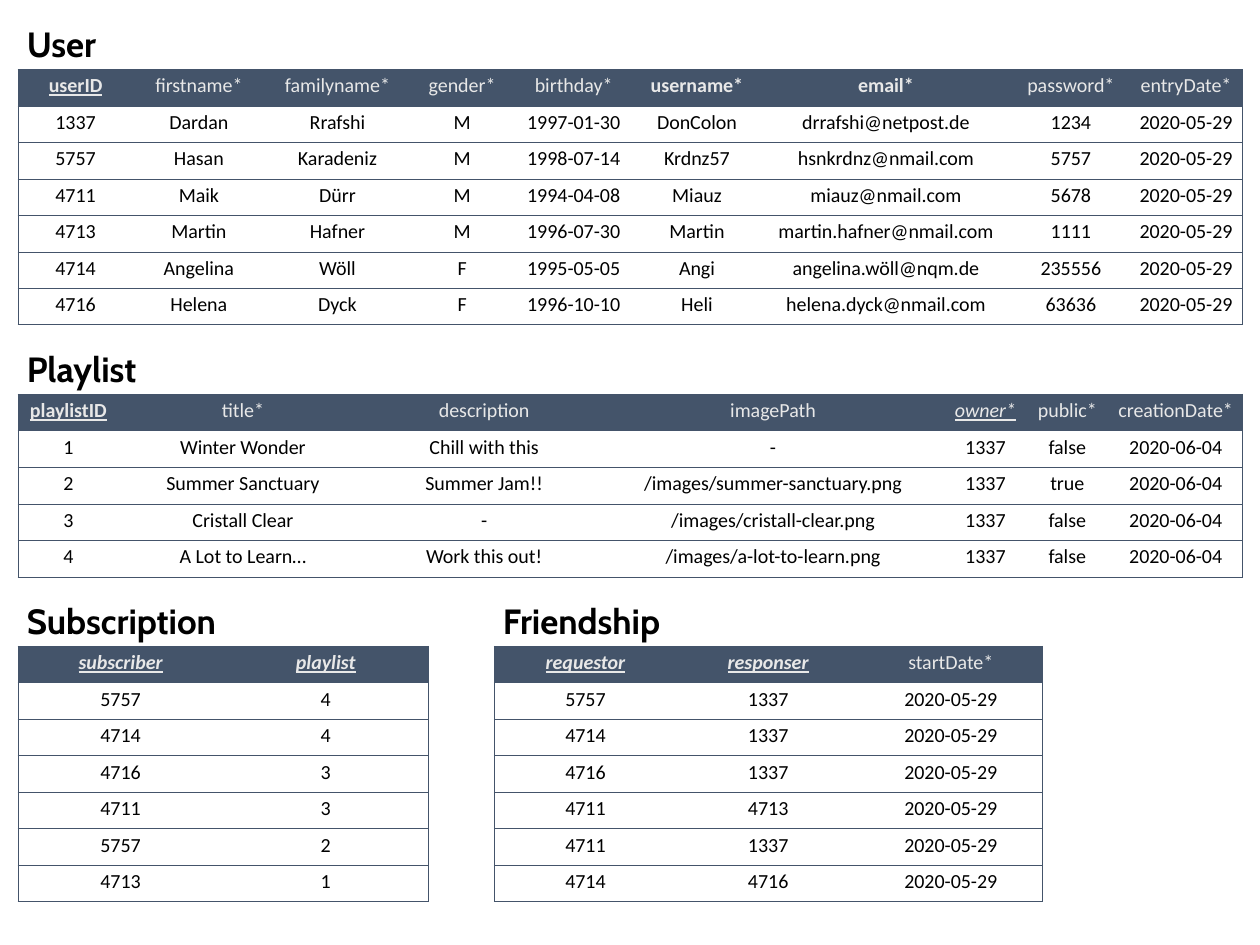
"""Builds a slide that shows four database tables with sample rows."""
import pptx
import pptx.dml.color
import pptx.enum.text
import pptx.oxml
import pptx.oxml.ns
import pptx.util
from pptx.util import Inches

NAVY, PALE, BLACK = "44546A", "E8E8E8", "000000"
MARGIN = 0.2
SECTION_GAP = 0.2
TITLE_HEIGHT = 0.57

PLAIN = {"bold": False, "italic": False, "underline": False}
UNIQUE = {**PLAIN, "bold": True}
PRIMARY = {**UNIQUE, "underline": True}
FOREIGN = {**PLAIN, "italic": True, "underline": True}
PRIMARY_FOREIGN = {**PRIMARY, "italic": True}

USER = {
    "title": "User", "title_width": 1.03, "height": 2.84,
    "columns": [("userID", 1.28, PRIMARY), ("firstname*", 1.46, PLAIN),
                ("familyname*", 1.62, PLAIN), ("gender*", 1.15, PLAIN),
                ("birthday*", 1.33, PLAIN), ("username*", 1.41, UNIQUE),
                ("email*", 2.79, UNIQUE), ("password*", 1.32, PLAIN),
                ("entryDate*", 1.24, PLAIN)],
    "rows": [
        ("1337", "Dardan", "Rrafshi", "M", "1997-01-30", "DonColon",
         "drrafshi@netpost.de", "1234", "2020-05-29"),
        ("5757", "Hasan", "Karadeniz", "M", "1998-07-14", "Krdnz57",
         "hsnkrdnz@nmail.com", "5757", "2020-05-29"),
        ("4711", "Maik", "Dürr", "M", "1994-04-08", "Miauz",
         "miauz@nmail.com", "5678", "2020-05-29"),
        ("4713", "Martin", "Hafner", "M", "1996-07-30", "Martin",
         "martin.hafner@nmail.com", "1111", "2020-05-29"),
        ("4714", "Angelina", "Wöll", "F", "1995-05-05", "Angi",
         "angelina.wöll@nqm.de", "235556", "2020-05-29"),
        ("4716", "Helena", "Dyck", "F", "1996-10-10", "Heli",
         "helena.dyck@nmail.com", "63636", "2020-05-29"),
    ],
}
PLAYLIST = {
    "title": "Playlist", "title_width": 1.52, "height": 2.03,
    "columns": [("playlistID", 1.12, PRIMARY), ("title*", 2.76, PLAIN),
                ("description", 2.6, PLAIN), ("imagePath", 3.82, PLAIN),
                ("owner*", 0.9, FOREIGN), ("public*", 0.92, PLAIN),
                ("creationDate*", 1.49, PLAIN)],
    "rows": [
        ("1", "Winter Wonder", "Chill with this", "-",
         "1337", "false", "2020-06-04"),
        ("2", "Summer Sanctuary", "Summer Jam!!", "/images/summer-sanctuary.png",
         "1337", "true", "2020-06-04"),
        ("3", "Cristall Clear", "-", "/images/cristall-clear.png",
         "1337", "false", "2020-06-04"),
        ("4", "A Lot to Learn…", "Work this out!", "/images/a-lot-to-learn.png",
         "1337", "false", "2020-06-04"),
    ],
}
SUBSCRIPTION = {
    "title": "Subscription", "title_width": 2.47, "height": 2.84,
    "columns": [("subscriber", 2.28, PRIMARY_FOREIGN),
                ("playlist", 2.28, PRIMARY_FOREIGN)],
    "rows": [("5757", "4"), ("4714", "4"), ("4716", "3"),
             ("4711", "3"), ("5757", "2"), ("4713", "1")],
}
FRIENDSHIP = {
    "title": "Friendship", "title_width": 2.15, "height": 2.84,
    "columns": [("requestor", 2.03, PRIMARY_FOREIGN),
                ("responser", 2.03, PRIMARY_FOREIGN),
                ("startDate*", 2.03, PLAIN)],
    "rows": [(requestor, responser, "2020-05-29") for requestor, responser in (
        ("5757", "1337"), ("4714", "1337"), ("4716", "1337"),
        ("4711", "4713"), ("4711", "1337"), ("4714", "4716"))],
}


def color(hex_value):
    """Turn a hex string into a colour."""
    return pptx.dml.color.RGBColor.from_string(hex_value)


def format_font(font, name, size, hex_value, style):
    """Apply typeface, size, colour and a dict of style values."""
    values = {"name": name, "size": pptx.util.Pt(size), **style}
    for attribute, value in values.items():
        setattr(font, attribute, value)
    font.color.rgb = color(hex_value)


def draw_borders(cell, visible_sides):
    """Draw thin lines on the given sides and hide the others."""
    properties = cell._tc.get_or_add_tcPr()
    for side in "LRTB":
        if side in visible_sides:
            paint = f'<a:solidFill><a:srgbClr val="{NAVY}"/></a:solidFill>'
        else:
            paint = "<a:noFill/>"
        properties.append(pptx.oxml.parse_xml(
            f'<a:ln{side} {pptx.oxml.ns.nsdecls("a")} w="6350">{paint}</a:ln{side}>'))


def fill_cell(cell, text, is_header, style, visible_sides):
    """Write one centred cell with its borders and fill."""
    draw_borders(cell, visible_sides)
    if is_header:
        cell.fill.solid()
        cell.fill.fore_color.rgb = color(NAVY)
    else:
        cell.fill.background()
    paragraph = cell.text_frame.paragraphs[0]
    paragraph.alignment = pptx.enum.text.PP_ALIGN.CENTER
    run = paragraph.add_run()
    run.text = text
    format_font(run.font, "Calibri", 16, PALE if is_header else BLACK, style)


def add_title(slide, text, left, top, width):
    """Add the heading of a section."""
    box = slide.shapes.add_textbox(
        Inches(left), Inches(top), Inches(width), Inches(TITLE_HEIGHT))
    box.text_frame.word_wrap = False
    box.text_frame.auto_size = pptx.enum.text.MSO_AUTO_SIZE.SHAPE_TO_FIT_TEXT
    run = box.text_frame.paragraphs[0].add_run()
    run.text = text
    format_font(run.font, "Cabin", 28, BLACK, UNIQUE)


def add_section(slide, section, left, top):
    """Add a heading with its table below and return the bottom edge."""
    add_title(slide, section["title"], left, top, section["title_width"])
    names, widths, styles = zip(*section["columns"])
    rows = [names, *section["rows"]]
    table_top = top + TITLE_HEIGHT
    table = slide.shapes.add_table(
        len(rows), len(names), Inches(left), Inches(table_top),
        Inches(sum(widths)), Inches(section["height"])).table
    table.first_row = table.horz_banding = False
    for column, width in zip(table.columns, widths):
        column.width = Inches(width)
    last = len(names) - 1
    for row_index, row in enumerate(rows):
        is_header = row_index == 0
        for column_index, text in enumerate(row):
            sides = "TB" + "L" * (column_index == 0) + "R" * (column_index == last)
            style = styles[column_index] if is_header else PLAIN
            fill_cell(table.cell(row_index, column_index), text, is_header, style, sides)
    return table_top + section["height"]


def build_slide(presentation):
    """Stack the wide tables and set the two narrow ones side by side."""
    slide = presentation.slides.add_slide(presentation.slide_layouts[6])
    top = MARGIN
    for section in (USER, PLAYLIST):
        top = add_section(slide, section, MARGIN, top) + SECTION_GAP
    for section, left in ((SUBSCRIPTION, MARGIN), (FRIENDSHIP, 5.49)):
        add_section(slide, section, left, top)


presentation = pptx.Presentation()
presentation.slide_width = Inches(14)
presentation.slide_height = Inches(10.5)
build_slide(presentation)
presentation.save("out.pptx")
